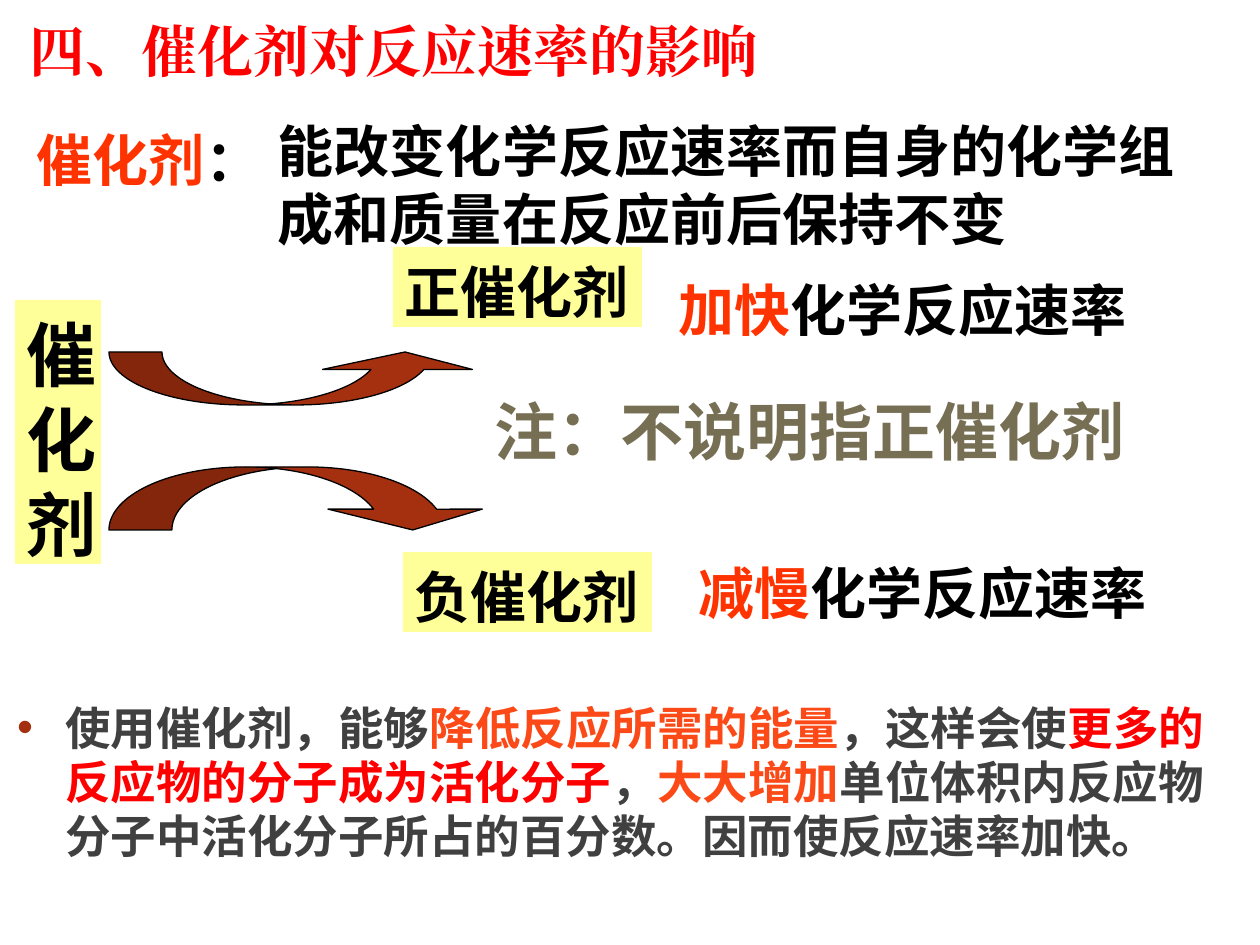
import lxml.etree
import pptx
import pptx.dml.color
import pptx.enum.shapes
import pptx.enum.text
import pptx.oxml.ns
import pptx.util

EMU_PER_PX = 914400 / 126
HEADING_FONT = "Noto Sans CJK JP"
BLACK, RED, ORANGE = "000000", "FF0000", "FF3300"
GRAY, CORAL, RUST, YELLOW = "404040", "FB4A18", "A53010", "FFFF99"
LINE_RATIO = 1.215


def px(length):
    """Turn whole pixels into EMU."""
    return pptx.util.Emu(round(length * EMU_PER_PX))


def color(value):
    """Turn a hex string into a colour."""
    return pptx.dml.color.RGBColor.from_string(value)


def place(shape, left, top, width, height):
    """Move and size a shape."""
    shape.left, shape.top = px(left), px(top)
    shape.width, shape.height = px(width), px(height)


def add_child(parent, tag, **attributes):
    """Append a drawing element to an XML parent."""
    child = lxml.etree.SubElement(parent, pptx.oxml.ns.qn(tag))
    for name, value in attributes.items():
        child.set(name, value)
    return child


def set_text(shape, runs, size=32, font=HEADING_FONT, wrap=True, line_ratio=LINE_RATIO):
    """Write bold (text, colour) runs into a shape and return the paragraph."""
    frame = shape.text_frame
    frame.auto_size = pptx.enum.text.MSO_AUTO_SIZE.NONE
    frame.word_wrap = wrap
    frame.vertical_anchor = pptx.enum.text.MSO_ANCHOR.TOP
    frame.margin_left = frame.margin_right = px(12)
    frame.margin_top, frame.margin_bottom = px(10), px(2)
    paragraph = frame.paragraphs[0]
    paragraph.alignment = pptx.enum.text.PP_ALIGN.LEFT
    paragraph.space_before = pptx.util.Pt(0)
    paragraph.line_spacing = pptx.util.Pt(round(size * line_ratio, 1))
    for text, text_color in runs:
        run = paragraph.add_run()
        run.text = text
        run.font.size = pptx.util.Pt(size)
        run.font.bold = True
        run.font.color.rgb = color(text_color)
        run.font.name = font
        add_child(run.font._element, "a:ea", typeface=font)
    return paragraph


def add_text(shapes, box, runs, **text_format):
    """Add a text box."""
    shape = shapes.add_textbox(*map(px, box))
    set_text(shape, runs, **text_format)


def add_label(shapes, box, text, **text_format):
    """Add a yellow label."""
    shape = shapes.add_shape(pptx.enum.shapes.MSO_SHAPE.RECTANGLE, *map(px, box))
    shape.shadow.inherit = False
    shape.fill.solid()
    shape.fill.fore_color.rgb = color(YELLOW)
    shape.line.fill.background()
    set_text(shape, [(text, BLACK)], **text_format)


def add_curved_arrow(shapes, kind, box, adjustments):
    """Add a curved block arrow."""
    shape = shapes.add_shape(kind, *map(px, box))
    shape.shadow.inherit = False
    for index, value in enumerate(adjustments):
        shape.adjustments[index] = value
    shape.fill.solid()
    shape.fill.fore_color.rgb = color(RUST)
    shape.line.color.rgb = color(BLACK)
    shape.line.width = pptx.util.Pt(0.75)


def fill_summary(body):
    """Write the bulleted summary into the body placeholder."""
    place(body, 5, 690, 1235, 204)
    runs = [
        ("使用催化剂，能够", GRAY),
        ("降低反应所需的能量", CORAL),
        ("，这样会使", GRAY),
        ("更多的反应物的分子成为活化分子", RED),
        ("，", GRAY),
        ("大大增加", CORAL),
        ("单位体积内反应物分子中活化分子所占的百分数。因而使反应速率加快。", GRAY),
    ]
    paragraph = set_text(body, runs, size=26, font="Noto Sans CJK SC", line_ratio=1.19)
    properties = paragraph._p.get_or_add_pPr()
    properties.set("marL", str(px(48)))
    properties.set("indent", str(px(-48)))
    add_child(add_child(properties, "a:buClr"), "a:srgbClr", val=RUST)
    add_child(properties, "a:buFont", typeface="Arial")
    add_child(properties, "a:buChar", char="•")


def add_classification(shapes):
    """Add the grouped diagram of the two kinds of catalyst."""
    kinds = pptx.enum.shapes.MSO_SHAPE
    group = shapes.add_group_shape().shapes
    add_label(group, (15, 300, 86, 264), "催化剂", size=40)
    add_curved_arrow(group, kinds.CURVED_DOWN_ARROW, (109, 467, 381, 63), (1.23, 2.45, 0.33))
    add_curved_arrow(group, kinds.CURVED_UP_ARROW, (109, 352, 371, 53), (1.43, 2.83, 0.33))
    add_label(group, (393, 247, 249, 80), "正催化剂", wrap=False)
    add_label(group, (403, 552, 249, 80), "负催化剂", wrap=False)


def main():
    """Build and save the slide."""
    presentation = pptx.Presentation()
    presentation.slide_width, presentation.slide_height = px(1260), px(945)
    slide = presentation.slides.add_slide(presentation.slide_layouts[1])
    shapes = slide.shapes

    place(shapes.title, 17, 6, 753, 80)
    set_text(shapes.title, [("四、催化剂对反应速率的影响", RED)], font="Times New Roman", wrap=False)
    fill_summary(slide.placeholders[1])

    add_text(shapes, (25, 115, 305, 80), [("催化剂", ORANGE), ("：", BLACK)])
    definition = "能改变化学反应速率而自身的化学组成和质量在反应前后保持不变"
    add_text(shapes, (266, 106, 955, 148), [(definition, BLACK)])
    add_classification(shapes)
    for left, top, change in ((666, 265, "加快"), (686, 548, "减慢")):
        runs = [(change, ORANGE), ("化学反应速率", BLACK)]
        add_text(shapes, (left, top, 473, 80), runs, wrap=False)
    add_text(shapes, (482, 382, 714, 89), [("注：不说明指正催化剂", "766F54")], size=36, font="Arial")

    presentation.save("out.pptx")


if __name__ == "__main__":
    main()
